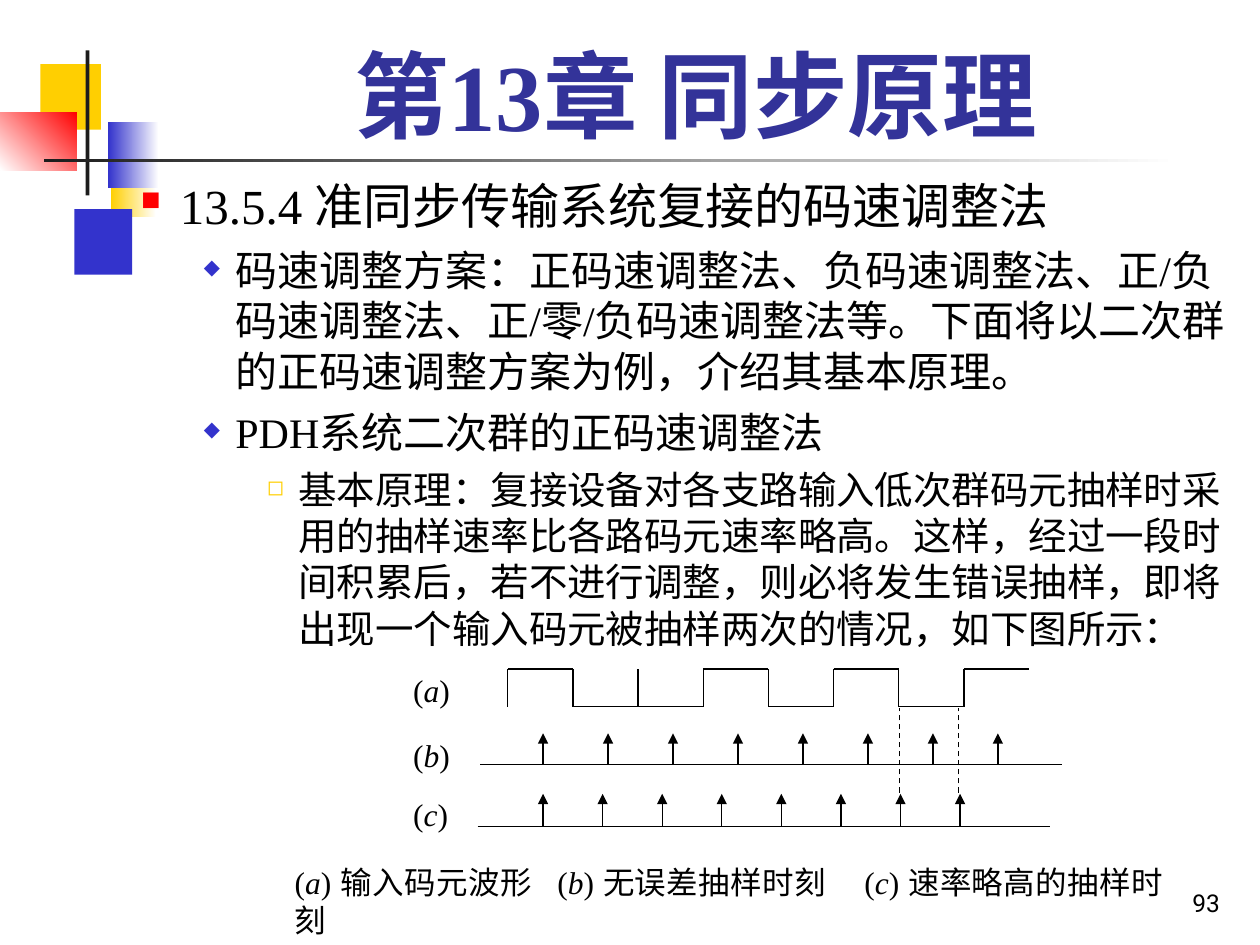
from dataclasses import dataclass

from lxml.etree import SubElement
from pptx import Presentation
from pptx.dml.color import RGBColor
from pptx.enum.dml import MSO_LINE
from pptx.enum.shapes import MSO_CONNECTOR, MSO_SHAPE
from pptx.enum.text import MSO_ANCHOR, PP_ALIGN
from pptx.oxml.ns import qn
from pptx.util import Inches, Pt


@dataclass(frozen=True)
class Theme:
    serif: str = "Times New Roman"
    sans: str = "Roboto"
    title_color: str = "333399"
    ink: str = "000000"
    dark: str = "1C1C1C"
    white: str = "FFFFFF"
    blue: str = "3333CC"
    yellow: str = "FFCF01"
    red: str = "FF0000"
    title_size: float = 54
    heading_size: float = 28
    body_size: float = 24
    detail_size: float = 22
    label_size: float = 18
    number_size: float = 14
    line_width: float = 0.75


class SlideBuilder:
    def __init__(self, slide, theme):
        self.slide = slide
        self.theme = theme

    def block(self, left, top, width, height, color, end_color=None, angle=180):
        """Plain rectangle, or a gradient from color to end_color."""
        shape = self.slide.shapes.add_shape(
            MSO_SHAPE.RECTANGLE, Inches(left), Inches(top), Inches(width), Inches(height))
        shape.shadow.inherit = False
        shape.line.fill.background()
        if end_color is None:
            shape.fill.solid()
            shape.fill.fore_color.rgb = RGBColor.from_string(color)
            return
        shape.fill.gradient()
        shape.fill.gradient_angle = angle
        for stop, value in zip(shape.fill.gradient_stops, (color, end_color)):
            stop.color.rgb = RGBColor.from_string(value)

    def line(self, x1, y1, x2, y2, arrow=False, dashed=False):
        connector = self.slide.shapes.add_connector(
            MSO_CONNECTOR.STRAIGHT, Inches(x1), Inches(y1), Inches(x2), Inches(y2))
        connector.line.color.rgb = RGBColor.from_string(self.theme.ink)
        connector.line.width = Pt(self.theme.line_width)
        if dashed:
            connector.line.dash_style = MSO_LINE.DASH
        properties = connector._element.spPr
        if arrow:
            SubElement(properties.find(qn("a:ln")), qn("a:headEnd"), type="triangle")
        SubElement(properties, qn("a:effectLst"))

    def frame(self, left, top, width, height, anchor=MSO_ANCHOR.TOP):
        box = self.slide.shapes.add_textbox(
            Inches(left), Inches(top), Inches(width), Inches(height))
        box.text_frame.word_wrap = True
        box.text_frame.vertical_anchor = anchor
        return box.text_frame

    def run(self, paragraph, text, size, color=None, font=None, bold=False, italic=False):
        run = paragraph.add_run()
        run.text = text
        run.font.name = font or self.theme.serif
        run.font.size = Pt(size)
        run.font.bold = bold
        run.font.italic = italic
        run.font.color.rgb = RGBColor.from_string(color or self.theme.ink)

    def text(self, at, text, size, align, anchor, **style):
        paragraph = self.frame(*at, anchor=anchor).paragraphs[0]
        paragraph.alignment = align
        self.run(paragraph, text, size, **style)

    def label(self, at, parts, tabs=()):
        """Text whose every second part is italic."""
        paragraph = self.frame(*at).paragraphs[0]
        paragraph.alignment = PP_ALIGN.JUSTIFY
        if tabs:
            tab_list = SubElement(paragraph._p.get_or_add_pPr(), qn("a:tabLst"))
            for position in tabs:
                SubElement(tab_list, qn("a:tab"), pos=str(Inches(position)), algn="l")
        for index, part in enumerate(parts):
            self.run(paragraph, part, self.theme.label_size, italic=index % 2 == 1)

    def bullets(self, at, levels, items):
        text_frame = self.frame(*at)
        for index, (level, text) in enumerate(items):
            margin, hanging, space, mark, color, percent, size = levels[level]
            paragraph = text_frame.add_paragraph() if index else text_frame.paragraphs[0]
            paragraph.level = level
            properties = paragraph._p.get_or_add_pPr()
            properties.set("marL", str(Inches(margin)))
            properties.set("indent", str(-Inches(hanging)))
            bullet_color = SubElement(properties, qn("a:buClr"))
            SubElement(bullet_color, qn("a:srgbClr"), val=color)
            SubElement(properties, qn("a:buSzPct"), val=str(percent * 1000))
            SubElement(properties, qn("a:buChar"), char=mark)
            if index:
                paragraph.space_before = Pt(space)
            self.run(paragraph, text, size)

    def waveform(self, left, step, high, low, levels):
        """Pulse train with a vertical edge at the start of every symbol."""
        for index, level in enumerate(levels):
            x = left + index * step
            y = high if level == "H" else low
            self.line(x, high, x, low)
            self.line(x, y, x + step, y)

    def sampling(self, axis_left, axis_right, axis_y, first, last, count, height):
        """Time axis with equally spaced sampling arrows."""
        self.line(axis_left, axis_y, axis_right, axis_y)
        for index in range(count):
            x = first + index * (last - first) / (count - 1)
            self.line(x, axis_y - height, x, axis_y, arrow=True)


def main():
    theme = Theme()
    presentation = Presentation()
    presentation.slide_width = Inches(10)
    presentation.slide_height = Inches(7.5)
    slide = presentation.slides.add_slide(presentation.slide_layouts[6])
    builder = SlideBuilder(slide, theme)

    # Corner decoration
    builder.block(0.88, 1.2, 0.36, 0.52, theme.white, theme.yellow)
    builder.block(0.59, 1.66, 0.46, 0.52, theme.blue)
    builder.block(0.32, 0.51, 0.48, 0.52, theme.yellow)
    builder.block(0.86, 0.97, 0.4, 0.52, theme.white, theme.blue)
    builder.block(0, 0.89, 0.61, 0.46, theme.red, theme.white, angle=225)
    builder.block(0.68, 0.4, 0.03, 1.15, theme.dark)
    builder.block(0.35, 1.26, 9, 0.03, theme.white, theme.dark)

    # Title
    builder.text((1.26, 0.23, 8.52, 1.01), "第13章 同步原理", theme.title_size,
                 PP_ALIGN.CENTER, MSO_ANCHOR.BOTTOM, color=theme.title_color, bold=True)

    # Body: margin, hanging, space before, mark, mark colour, mark percent, size
    levels = [
        (0.81, 0.31, 7, "■", theme.red, 55, theme.heading_size),
        (1.25, 0.25, 6, "◆", theme.blue, 50, theme.body_size),
        (1.75, 0.25, 5.5, "◻", theme.yellow, 55, theme.detail_size),
    ]
    builder.bullets((0.52, 1.34, 9.48, 6.16), levels, [
        (0, "13.5.4 准同步传输系统复接的码速调整法"),
        (1, "码速调整方案：正码速调整法、负码速调整法、正/负码速调整法、正/零/负码速调整法等。"
            "下面将以二次群的正码速调整方案为例，介绍其基本原理。"),
        (1, "PDH系统二次群的正码速调整法"),
        (2, "基本原理：复接设备对各支路输入低次群码元抽样时采用的抽样速率比各路码元速率略高。"
            "这样，经过一段时间积累后，若不进行调整，则必将发生错误抽样，"
            "即将出现一个输入码元被抽样两次的情况，如下图所示："),
    ])

    # Timing diagram
    symbols = "HLLHLHLH"
    symbol_width = (7.65 - 4.03) / (len(symbols) - 1)
    builder.waveform(4.03, symbol_width, 5.31, 5.61, symbols)
    builder.sampling(3.81, 8.43, 6.07, 4.31, 7.92, len(symbols), 0.25)
    builder.sampling(3.79, 8.33, 6.56, 4.31, 7.62, len(symbols), 0.26)
    for x in (7.14, 7.61):
        builder.line(x, 6.29, x, 5.62, dashed=True)

    # Row labels and caption
    for letter, top in (("a", 5.28), ("b", 5.79), ("c", 6.26)):
        builder.label((3.18, top, 0.62, 0.44), ("(", letter, ")"))
    builder.label((2.24, 6.8, 7.09, 0.49),
                  ("(", "a", ") 输入码元波形\t(", "b", ") 无误差抽样时刻\t(", "c",
                   ") 速率略高的抽样时刻"), tabs=(2.05, 4.45))

    # Slide number
    builder.text((7.7, 6.83, 2.08, 0.5), "93", theme.number_size,
                 PP_ALIGN.RIGHT, MSO_ANCHOR.BOTTOM, font=theme.sans)

    presentation.save("out.pptx")


if __name__ == "__main__":
    main()
